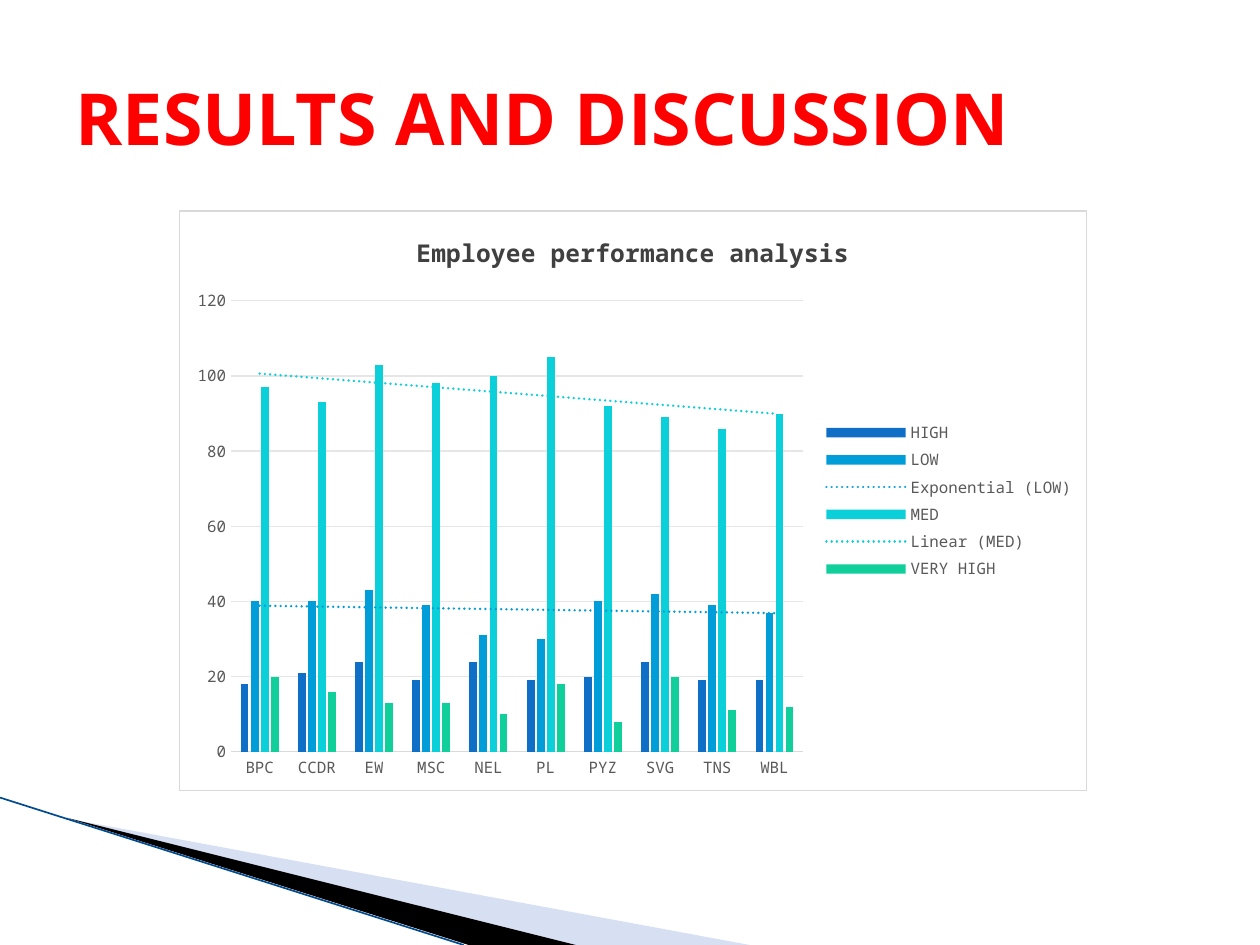
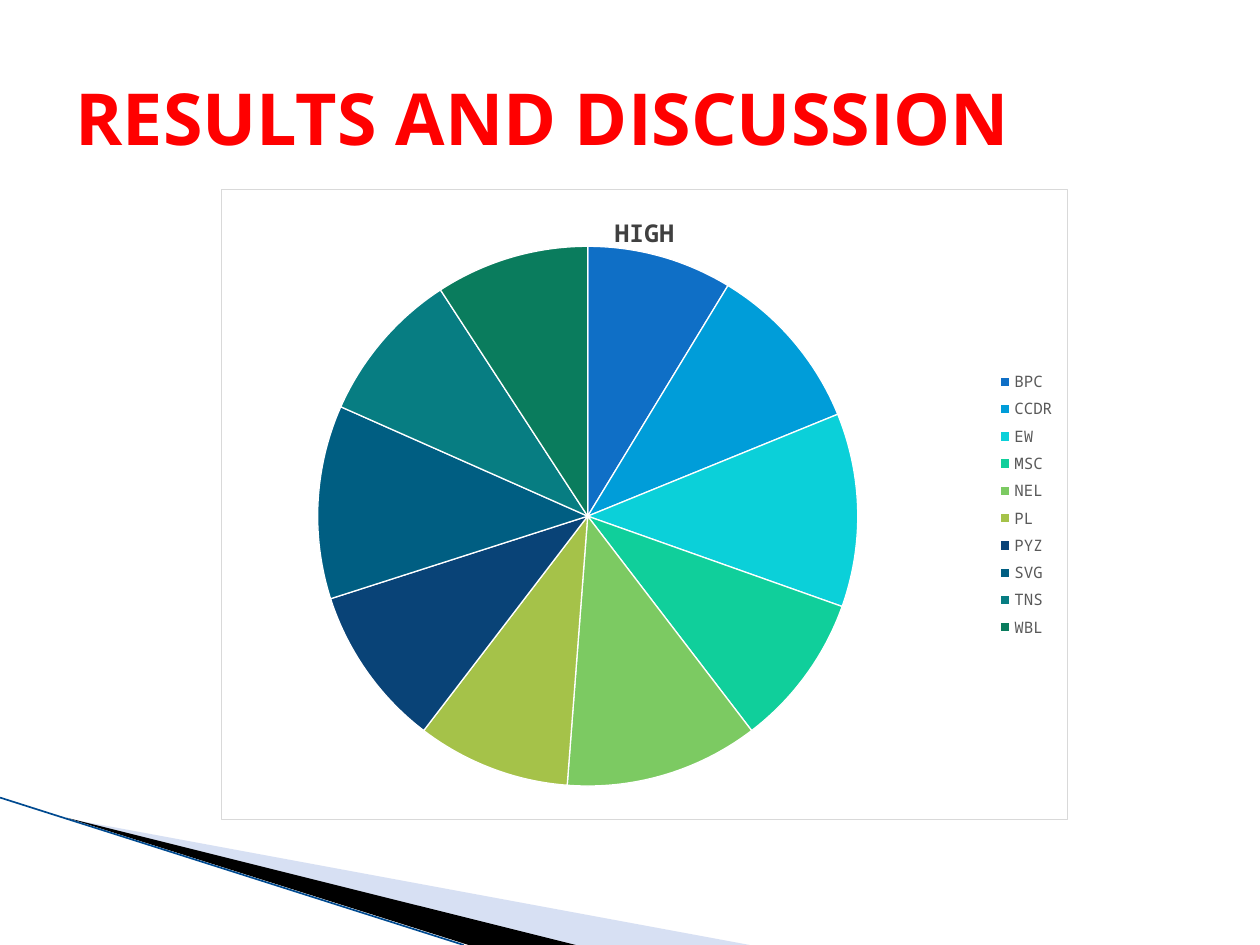
from lxml import etree
from pptx import Presentation
from pptx.chart.data import CategoryChartData
from pptx.dml.color import RGBColor
from pptx.enum.chart import XL_CHART_TYPE as CT, XL_LEGEND_POSITION as LP, XL_TICK_MARK as TM
from pptx.enum.shapes import MSO_CONNECTOR
from pptx.enum.text import MSO_ANCHOR, PP_ALIGN
from pptx.oxml import parse_xml
from pptx.oxml.ns import nsdecls, qn
from pptx.util import Inches, Pt

COLORS = {
    "title": "FF0000", "chart_title": "404040", "label": "595959",
    "border": "D9D9D9", "grid": "E6E6E6", "white": "FFFFFF",
    "pale_band": "9DB2E1", "dark_band": "000000", "edge": "004A90",
}
PALETTE = ["0F6FC6", "009DD9", "0BD0D9", "10CF9B", "7CCA62",
           "A5C249", "094377", "005E82", "077D82", "0A7C5D"]
TITLE_FONT, CHART_FONT = "Open Sans", "Noto Sans Mono"

TEAMS = ["BPC", "CCDR", "EW", "MSC", "NEL", "PL", "PYZ", "SVG", "TNS", "WBL"]
RATINGS = {
    "HIGH": [18, 21, 24, 19, 24, 19, 20, 24, 19, 19],
    "LOW": [40, 40, 43, 39, 31, 30, 40, 42, 39, 37],
    "MED": [97, 93, 103, 98, 100, 105, 92, 89, 86, 90],
    "VERY HIGH": [20, 16, 13, 13, 10, 18, 8, 20, 11, 12],
}
TRENDS = {"LOW": "exp", "MED": "linear"}


def rgb(name):
    return RGBColor.from_string(COLORS.get(name, name))


def add_chart(s, kind, box, title):
    """Add a framed chart of the ratings with a title and a legend on the right."""
    chart = s.shapes.add_chart(kind, *[Inches(v) for v in box], data).chart
    chart.font.name = CHART_FONT
    chart.font.size = Pt(9)
    chart.font.color.rgb = rgb("label")
    chart.has_title = True
    chart.chart_title.text_frame.text = title
    font = chart.chart_title.text_frame.paragraphs[0].font
    font.name, font.size, font.bold = CHART_FONT, Pt(14), True
    font.color.rgb = rgb("chart_title")
    chart.has_legend = True
    chart.legend.position = LP.RIGHT
    chart.legend.include_in_layout = False
    chart.element.find(qn("c:chart")).addnext(parse_xml(
        f'<c:spPr {nsdecls("c", "a")}>'
        f'<a:solidFill><a:srgbClr val="{COLORS["white"]}"/></a:solidFill>'
        f'<a:ln w="9525"><a:solidFill><a:srgbClr val="{COLORS["border"]}"/></a:solidFill></a:ln>'
        '</c:spPr>'))
    return chart


prs = Presentation()
prs.slide_width, prs.slide_height = Inches(10), Inches(7.5)
layout = prs.slide_layouts[5]
slides = [prs.slides.add_slide(layout) for _ in range(2)]

# Corner bands, shared through the layout
bands = [
    ("pale_band", [(0.55, 6.5), (5.95, 7.5), (4.56, 7.5)]),
    ("dark_band", [(0.53, 6.49), (4.57, 7.5), (3.72, 7.5)]),
]
shapes = slides[0].shapes
decor = []
for color, points in bands:
    start, *rest = [(Inches(x), Inches(y)) for x, y in points]
    builder = shapes.build_freeform(*start)
    builder.add_line_segments(rest, close=True)
    band = builder.convert_to_shape()
    band.shadow.inherit = False
    band.fill.solid()
    band.fill.fore_color.rgb = rgb(color)
    band.line.fill.background()
    decor.append(band)
pale = decor[0].element.spPr.find(qn("a:solidFill"))[0]
etree.SubElement(pale, qn("a:alpha"), val="40000")

edge = shapes.add_connector(MSO_CONNECTOR.STRAIGHT, 0, Inches(6.33), Inches(3.68), Inches(7.5))
edge.line.color.rgb = rgb("edge")
edge.line.width = Pt(0.95)
etree.SubElement(edge.element.spPr, qn("a:effectLst"))
decor.append(edge)
for sp in decor:
    layout.shapes.element.append(sp.element)

# Titles
for s in slides:
    title = s.shapes.title
    title.left, title.top = Inches(0.5), Inches(0.3)
    title.width, title.height = Inches(9), Inches(1.25)
    tf = title.text_frame
    tf.text = "RESULTS AND DISCUSSION"
    tf.vertical_anchor = MSO_ANCHOR.MIDDLE
    p = tf.paragraphs[0]
    p.alignment = PP_ALIGN.LEFT
    p.font.name, p.font.size, p.font.bold = TITLE_FONT, Pt(41), True
    p.font.color.rgb = rgb("title")

data = CategoryChartData()
data.categories = TEAMS
for name, values in RATINGS.items():
    data.add_series(name, values)

# Slide 1: columns with trend lines
columns = add_chart(slides[0], CT.COLUMN_CLUSTERED, (1.42, 1.67, 7.21, 4.61),
                    "Employee performance analysis")
plot = columns.plots[0]
plot.gap_width, plot.overlap = 246, -28
plot.vary_by_categories = False
for series, color in zip(plot.series, PALETTE):
    series.format.fill.solid()
    series.format.fill.fore_color.rgb = rgb(color)
    if series.name in TRENDS:
        series._element.find(qn("c:cat")).addprevious(parse_xml(
            f'<c:trendline {nsdecls("c", "a")}><c:spPr><a:ln w="19050" cap="rnd">'
            f'<a:solidFill><a:srgbClr val="{color}"/></a:solidFill>'
            '<a:prstDash val="sysDot"/></a:ln></c:spPr>'
            f'<c:trendlineType val="{TRENDS[series.name]}"/>'
            '<c:dispRSqr val="0"/><c:dispEq val="0"/></c:trendline>'))

cat_axis, val_axis = columns.category_axis, columns.value_axis
for axis in (cat_axis, val_axis):
    axis.major_tick_mark = axis.minor_tick_mark = TM.NONE
cat_axis.format.line.color.rgb = rgb("border")
cat_axis.format.line.width = Pt(0.75)
val_axis.format.line.fill.background()
val_axis.minimum_scale, val_axis.maximum_scale, val_axis.major_unit = 0, 120, 20
val_axis.major_gridlines.format.line.color.rgb = rgb("grid")
val_axis.major_gridlines.format.line.width = Pt(0.75)

# Slide 2: pie of the first rating
pie = add_chart(slides[1], CT.PIE, (1.75, 1.5, 6.73, 5.01), "HIGH")
pie.replace_data(data)  # a new pie holds only the first series
plot = pie.plots[0]
plot.vary_by_categories = True
for series in plot.series:
    for i, color in enumerate(PALETTE):
        slice_format = series.points[i].format
        slice_format.fill.solid()
        slice_format.fill.fore_color.rgb = rgb(color)
        slice_format.line.color.rgb = rgb("white")
        slice_format.line.width = Pt(0.75)

plot_area = pie.element.find(".//" + qn("c:plotArea"))
for old in plot_area.findall(qn("c:layout")):
    plot_area.remove(old)
frame = "".join(f'<c:{tag} val="{val}"/>' for tag, val in [
    ("layoutTarget", "inner"), ("xMode", "edge"), ("yMode", "edge"),
    ("x", 0.003), ("y", 0.09), ("w", 0.86), ("h", 0.857)])
plot_area.insert(0, parse_xml(
    f'<c:layout {nsdecls("c")}><c:manualLayout>{frame}</c:manualLayout></c:layout>'))

prs.save("out.pptx")
